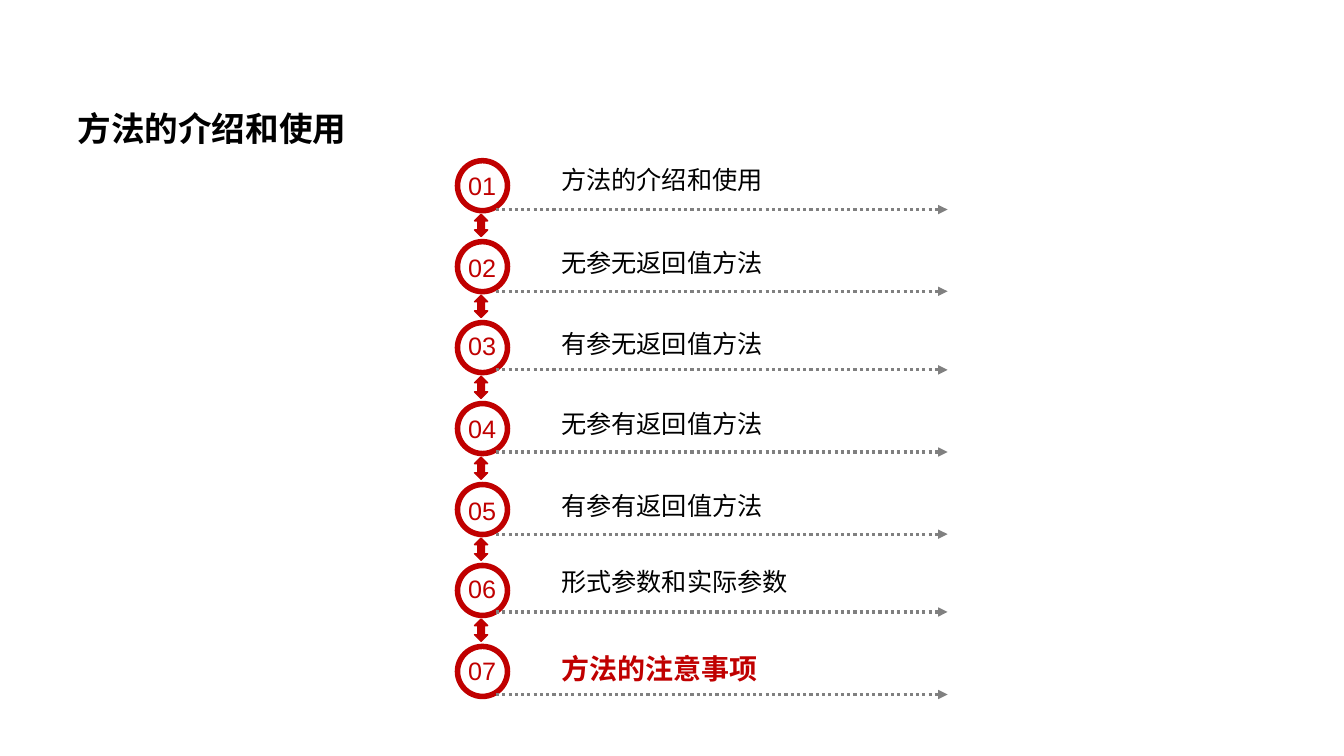
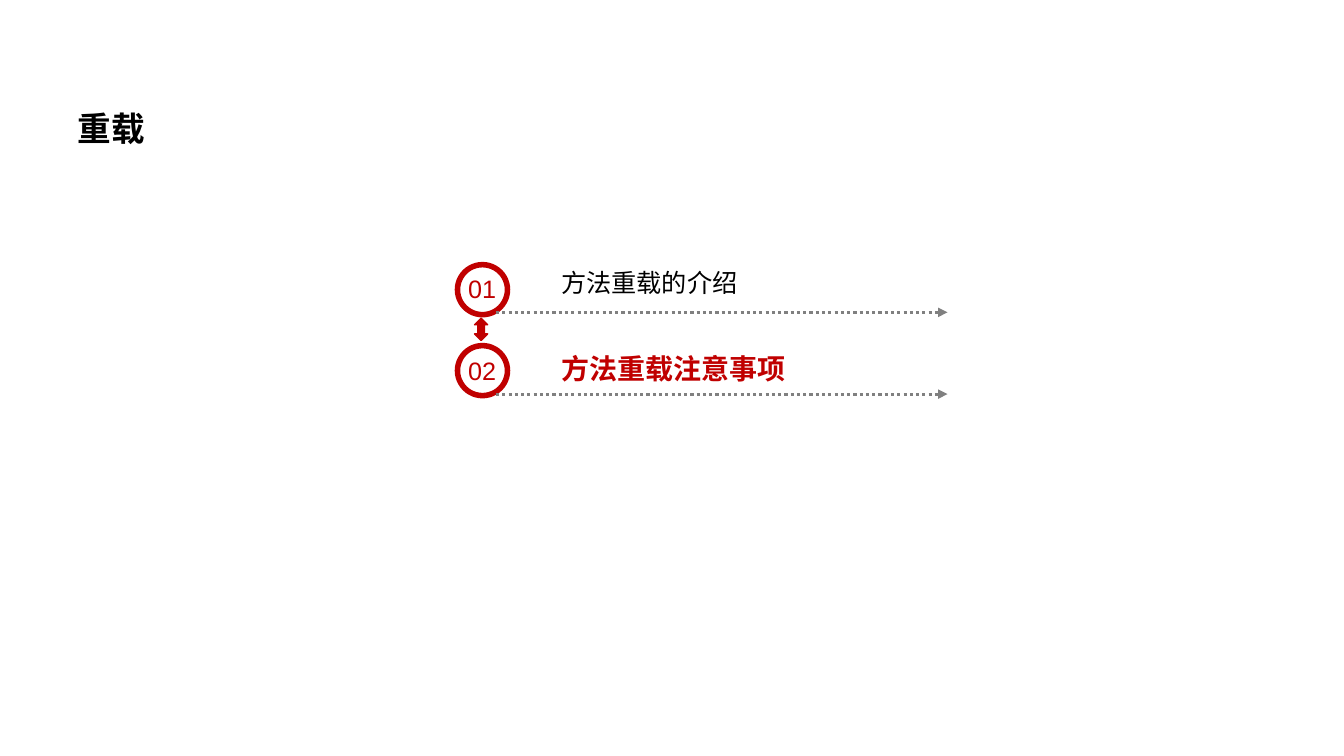
from pptx import Presentation
from pptx.dml.color import RGBColor
from pptx.enum.dml import MSO_LINE_DASH_STYLE as Dash
from pptx.enum.shapes import MSO_CONNECTOR as Connector, MSO_SHAPE as Shape
from pptx.enum.text import MSO_ANCHOR as Anchor, MSO_AUTO_SIZE as AutoSize, PP_ALIGN as Align
from pptx.oxml.ns import qn
from pptx.util import Cm, Pt
from lxml.etree import SubElement

# Shared look, lengths in centimetres
COLORS = {"accent": "C00000", "text": "000000", "rule": "808080"}
LATIN_FONT, ASIAN_FONT = "Arial", "Noto Sans CJK SC"
TITLE_ONLY = 5
RING_LEFT, RING_SIZE, RING_PITCH = 11.46, 1.4, 2.04
ARROW_LEFT, ARROW_WIDTH, ARROW_HEIGHT = 11.96, 0.33, 0.56
ARROW_DROP = 1.42
NUMBER_LEFT, NUMBER_WIDTH, NUMBER_RISE = 11.55, 1.22, 1.11
LABEL_LEFT, LABEL_WIDTH, LABEL_HEIGHT = 13.89, 10.06, 1.02
RULE_LEFT, RULE_RIGHT = 12.5, 23.88

# Each agenda: title, top of the first ring, rows of (label, label top, rule height)
AGENDAS = [
    ("方法的介绍和使用", 3.98, [
        ("方法的介绍和使用", 4.01, 5.28),
        ("无参无返回值方法", 6.12, 7.34),
        ("有参无返回值方法", 8.15, 9.32),
        ("无参有返回值方法", 10.16, 11.39),
        ("有参有返回值方法", 12.22, 13.46),
        ("形式参数和实际参数", 14.15, 15.42),
        ("方法的注意事项", 16.28, 17.5),
    ]),
    ("重载", 6.6, [
        ("方法重载的介绍", 6.6, 7.87),
        ("方法重载注意事项", 8.74, 9.93),
    ]),
]


def color(name):
    return RGBColor.from_string(COLORS[name])


def add_run(para, text, size, color_name, bold=False):
    span = para.add_run()
    span.text = text
    font = span.font
    font.name, font.size, font.bold = LATIN_FONT, Pt(size), bold
    font.color.rgb = color(color_name)
    SubElement(font._element, qn("a:ea"), typeface=ASIAN_FONT)


def place_title(layout):
    """Position the title once, for every slide on the layout."""
    title = layout.placeholders[0]
    title.left, title.top = Cm(1.7), Cm(2.08)
    title.width, title.height = Cm(29.82), Cm(2.82)


def set_title(page, text):
    frame = page.shapes.title.text_frame
    frame.vertical_anchor = Anchor.TOP
    frame.auto_size = AutoSize.NONE
    frame.word_wrap = True
    para = frame.paragraphs[0]
    para.alignment, para.line_spacing = Align.LEFT, 1.5
    add_run(para, text, 24, "text", bold=True)


def add_text(page, left, top, width, text, size, color_name, bold=False, wrap=True):
    box = page.shapes.add_textbox(Cm(left), Cm(top), Cm(width), Cm(LABEL_HEIGHT))
    box.text_frame.word_wrap = wrap
    add_run(box.text_frame.paragraphs[0], text, size, color_name, bold)


def add_accent_shape(page, kind, left, top, width, height):
    shape = page.shapes.add_shape(kind, Cm(left), Cm(top), Cm(width), Cm(height))
    shape.shadow.inherit = False
    shape.fill.solid()
    shape.fill.fore_color.rgb = color("accent")
    return shape


def add_ring(page, top):
    ring = add_accent_shape(page, Shape.DONUT, RING_LEFT, top, RING_SIZE, RING_SIZE)
    ring.adjustments[0] = 0.1
    ring.line.fill.background()


def add_double_arrow(page, top):
    arrow = add_accent_shape(page, Shape.UP_DOWN_ARROW, ARROW_LEFT, top,
                             ARROW_WIDTH, ARROW_HEIGHT)
    arrow.line.color.rgb = color("accent")
    arrow.line.width = Pt(1)


def add_dotted_rule(page, height):
    rule = page.shapes.add_connector(Connector.STRAIGHT, Cm(RULE_LEFT), Cm(height),
                                     Cm(RULE_RIGHT), Cm(height))
    rule.line.color.rgb = color("rule")
    rule.line.width = Pt(2.25)
    rule.line.dash_style = Dash.ROUND_DOT
    SubElement(rule.line._get_or_add_ln(), qn("a:tailEnd"), type="triangle")
    SubElement(rule._element.spPr, qn("a:effectLst"))


def add_agenda(page, first_top, rows):
    """Draw a chain of numbered rings; the last row is the current topic."""
    for index, (label, label_top, rule_height) in enumerate(rows):
        ring_top = first_top + index * RING_PITCH
        is_current = index == len(rows) - 1
        add_ring(page, ring_top)
        add_dotted_rule(page, rule_height)
        add_text(page, NUMBER_LEFT, rule_height - NUMBER_RISE, NUMBER_WIDTH,
                 f"{index + 1:02}", 18, "accent", wrap=False)
        if is_current:
            add_text(page, LABEL_LEFT, label_top, LABEL_WIDTH, label, 20, "accent", bold=True)
        else:
            add_text(page, LABEL_LEFT, label_top, LABEL_WIDTH, label, 18, "text")
            add_double_arrow(page, ring_top + ARROW_DROP)


def main():
    deck = Presentation()
    deck.slide_width, deck.slide_height = Cm(33.87), Cm(19.05)
    layout = deck.slide_layouts[TITLE_ONLY]
    place_title(layout)
    for title, first_top, rows in AGENDAS:
        page = deck.slides.add_slide(layout)
        set_title(page, title)
        add_agenda(page, first_top, rows)
    deck.save("out.pptx")


if __name__ == "__main__":
    main()
